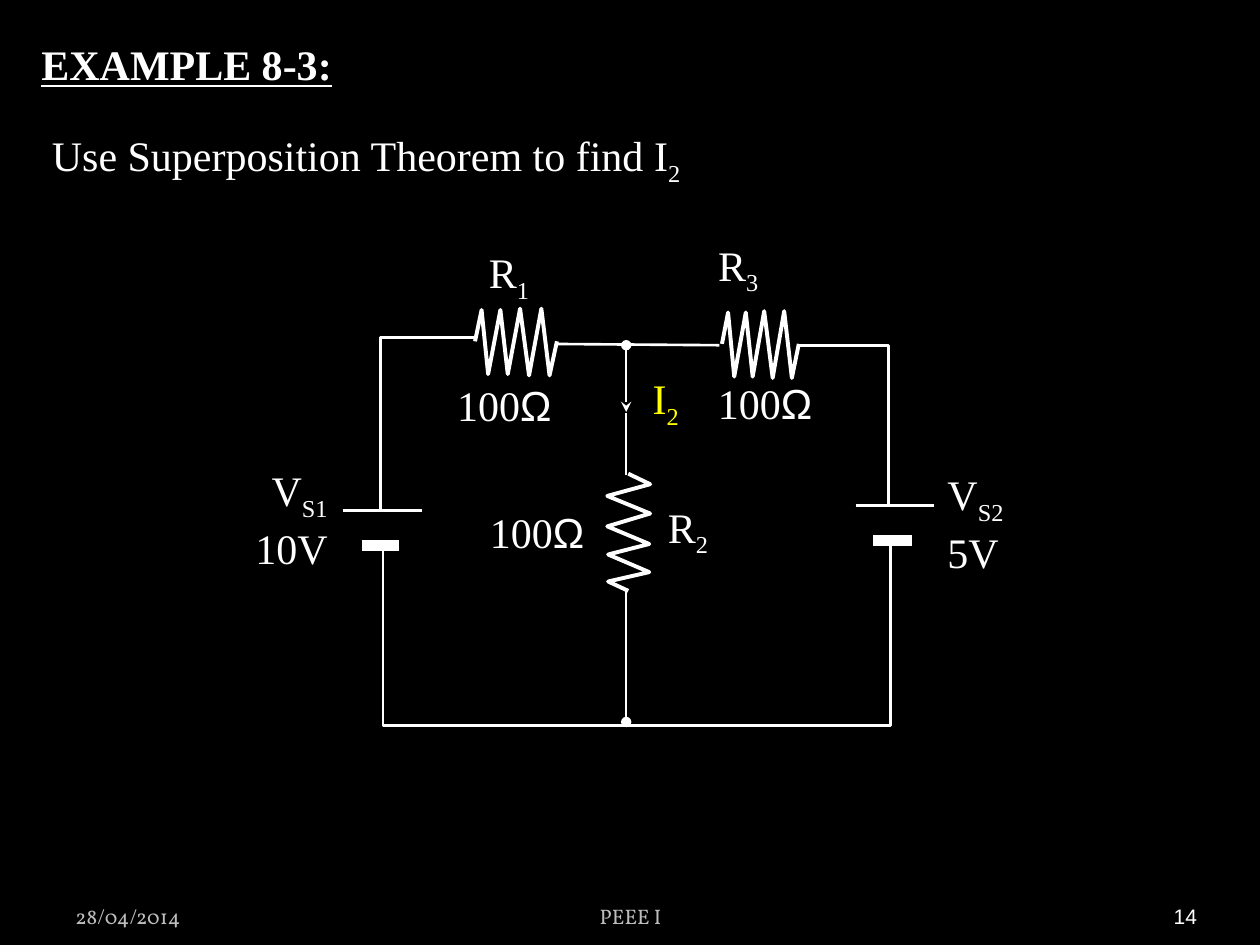
"""Build the superposition example slide with its two-source resistor circuit."""
import pptx
import pptx.dml.color
import pptx.enum.shapes
import pptx.enum.text
import pptx.oxml
import pptx.oxml.ns
import pptx.util

COLORS = {"ground": "000000", "ink": "FFFFFF", "current": "FFFF00", "footer": "BDBDBD"}
RGB = {key: pptx.dml.color.RGBColor.from_string(value) for key, value in COLORS.items()}
ALIGN = pptx.enum.text.PP_ALIGN
BOTTOM = pptx.enum.text.MSO_ANCHOR.BOTTOM
GROW = pptx.enum.text.MSO_AUTO_SIZE.SHAPE_TO_FIT_TEXT

deck = pptx.Presentation()
deck.slide_width, deck.slide_height = pptx.util.Inches(10), pptx.util.Inches(7.5)
slide = deck.slides.add_slide(deck.slide_layouts[6])
slide.background.fill.solid()
slide.background.fill.fore_color.rgb = RGB["ground"]
cell = deck.slide_width / 100
circuit = slide.shapes.add_group_shape()

BODY = {"name": "Times New Roman", "size": pptx.util.Pt(24), "color": "ink"}
HEADING = BODY | {"bold": True, "underline": True}
CURRENT = BODY | {"color": "current"}
OHM = BODY | {"name": "Arial"}
FOOTER = {"name": "Vollkorn", "size": pptx.util.Pt(12), "color": "footer"}
NUMBER = FOOTER | {"name": "Arial", "color": "ink"}
TIGHT = dict.fromkeys(("margin_left", "margin_top", "margin_right", "margin_bottom"), 0)
FIT = {"auto_size": GROW, "word_wrap": True}
LABEL = TIGHT | FIT
LOOSE = {"auto_size": GROW, "word_wrap": False}
FOOT = {"vertical_anchor": BOTTOM, "word_wrap": True}


def write(shapes, box, frame_format, align, paragraphs):
    frame = shapes.add_textbox(*(round(v * cell) for v in box)).text_frame
    for key, value in frame_format.items():
        setattr(frame, key, value)
    for index, runs in enumerate(paragraphs):
        paragraph = frame.add_paragraph() if index else frame.paragraphs[0]
        paragraph.alignment = align
        for text, style, *subscript in runs:
            run = paragraph.add_run()
            run.text = text
            for key, value in style.items():
                if key == "color":
                    run.font.color.rgb = RGB[value]
                else:
                    setattr(run.font, key, value)
            if subscript:
                run._r.get_or_add_rPr().set("baseline", "-25000")
    return frame


def trace(points, weight):
    (start, *rest) = [(round(x * cell), round(y * cell)) for x, y in points]
    outline = circuit.shapes.build_freeform(*start)
    outline.add_line_segments(rest, close=False)
    path = outline.convert_to_shape()
    path.shadow.inherit = False
    path.fill.background()
    path.line.color.rgb = RGB["ink"]
    path.line.width = pptx.util.Pt(weight)


straight_wires = [
    ((44.1, 27.3, 57.1, 27.4), 1.5, {}),
    ((49.7, 32.8, 49.7, 37.7), 1.5, {}),
    ((49.7, 27.4, 49.7, 32.7), 1.5, {"headEnd": "oval", "tailEnd": "stealth"}),
    ((49.7, 46.8, 49.7, 57.3), 1.5, {"tailEnd": "oval"}),
    ((27.2, 40.5, 33.5, 40.5), 1.5, {}),
    ((28.7, 43.3, 31.7, 43.3), 6, {}),
    ((67.9, 40.1, 74.1, 40.1), 1.5, {}),
    ((69.3, 42.9, 72.4, 42.9), 6, {}),
]
for ends, weight, tips in straight_wires:
    wire = circuit.shapes.add_connector(
        pptx.enum.shapes.MSO_CONNECTOR.STRAIGHT, *(round(v * cell) for v in ends))
    wire.line.color.rgb = RGB["ink"]
    wire.line.width = pptx.util.Pt(weight)
    for tag, tip in tips.items():
        end = pptx.oxml.parse_xml(f'<a:{tag} {pptx.oxml.ns.nsdecls("a")} type="{tip}"/>')
        wire.line._get_or_add_ln().append(end)
    wire._element.spPr.append(
        pptx.oxml.parse_xml(f'<a:effectLst {pptx.oxml.ns.nsdecls("a")}/>'))

bent_wires = [
    [(63.5, 27.4), (70.5, 27.4), (70.5, 40.2)],
    [(30.4, 43.6), (30.4, 57.6), (70.7, 57.6), (70.7, 42.7)],
    [(30.2, 40.6), (30.2, 26.8), (37.7, 26.8)],
]
for corners in bent_wires:
    trace(corners, 1.5)

along = (0, 0.08, 0.16, 0.31, 0.4, 0.55, 0.66, 0.81, 0.91, 1)
across = (0.49, 0.02, 0.98, 0.02, 0.98, 0, 1, 0, 1, 0.49)
zigzag = list(zip(along, across))
for left, top, width in ((37.7, 24.5, 6.5), (57.3, 24.7, 6.1)):
    trace([(left + a * width, top + c * 5.3) for a, c in zigzag], 2.25)
trace([(48.2 + c * 3.4, 46.9 - a * 9.3) for a, c in zigzag], 2.25)

labels = [
    ((38.8, 19.6, 3.3, 4), TIGHT | LOOSE, ALIGN.LEFT, [[("R", BODY), ("1", BODY, True)]]),
    ((57, 19, 5.7, 4), LABEL, ALIGN.LEFT, [[("R", BODY), ("3", BODY, True)]]),
    ((53, 39.8, 5.8, 4), LABEL, ALIGN.LEFT, [[("R", BODY), ("2", BODY, True)]]),
    ((51.8, 29.6, 5.5, 4), LABEL, ALIGN.LEFT, [[("I", CURRENT), ("2", CURRENT, True)]]),
    ((16.9, 36.9, 9.1, 8), LABEL, ALIGN.RIGHT,
     [[("V", BODY), ("S1", BODY, True)], [("10V", BODY)]]),
    ((75.2, 37.2, 7, 8), LABEL, ALIGN.LEFT,
     [[("V", BODY), ("S2", BODY, True)], [("5V", BODY)]]),
]
for label in labels:
    write(circuit.shapes, *label)
for left, top in ((35.3, 29.6), (37.9, 39.7), (56, 29.5)):
    write(circuit.shapes, (left, top, 9.6, 5), LOOSE, ALIGN.LEFT, [[("100", BODY), ("Ω", OHM)]])

task = write(slide.shapes, (2.3, 2.6, 78.9, 12.5), FIT, ALIGN.LEFT, [
    [("EXAMPLE 8-3:", HEADING)],
    [(" Use Superposition Theorem to find I", BODY), ("2", BODY, True)],
])
task.paragraphs[1].space_before = pptx.util.Pt(23)

footers = [
    ((5, 70.2, 23.3, 4), FOOT, ALIGN.LEFT, [[("28/04/2014", FOOTER)]]),
    ((34.2, 70.2, 31.7, 4), FOOT, ALIGN.CENTER, [[("PEEE I", FOOTER)]]),
    ((86.7, 70.2, 8.3, 4), FOOT | {"margin_left": 0, "margin_right": 0}, ALIGN.RIGHT,
     [[("14", NUMBER)]]),
]
for footer in footers:
    write(slide.shapes, *footer)

deck.save("out.pptx")
